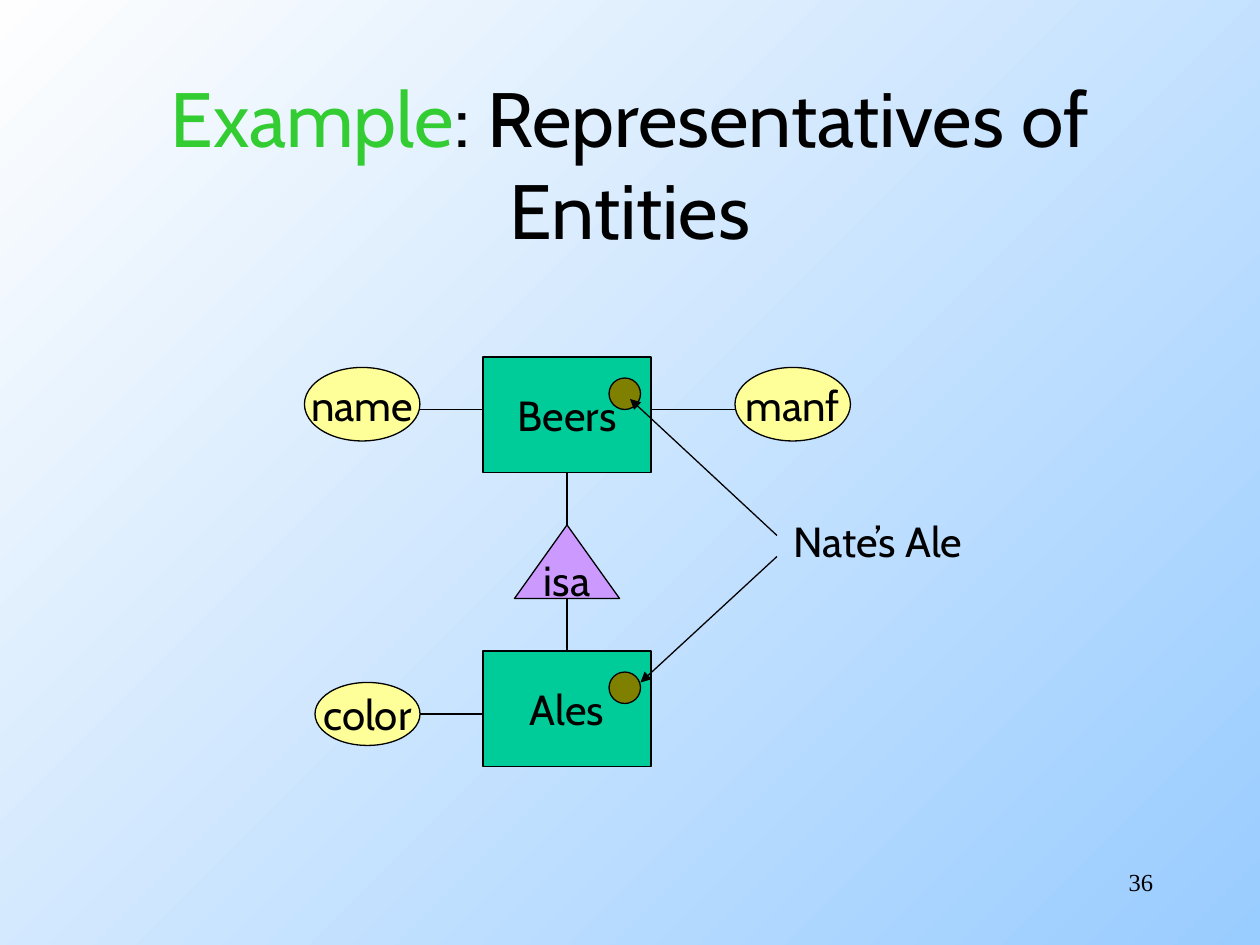
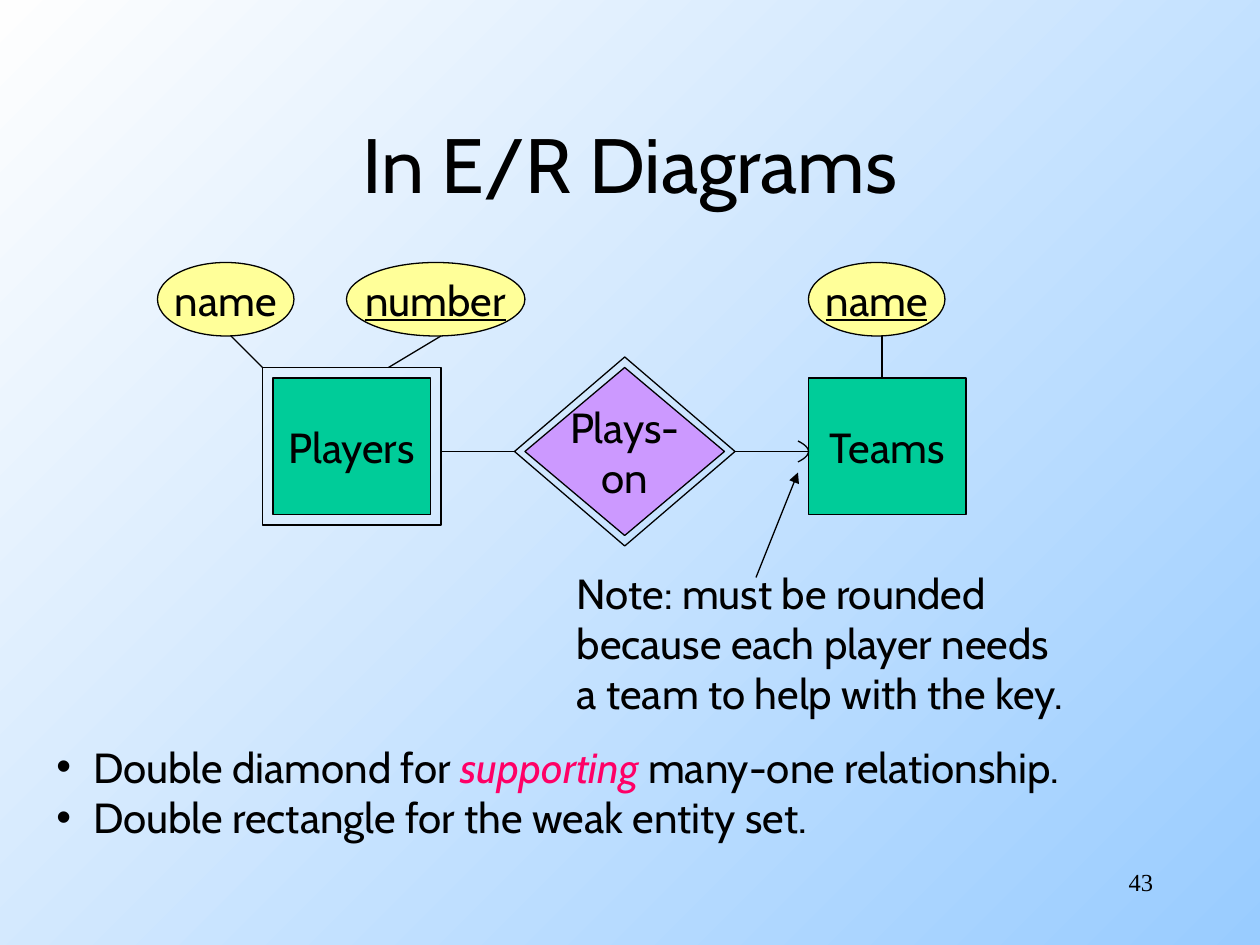
from lxml.etree import SubElement
from pptx import Presentation
from pptx.dml.color import RGBColor
from pptx.enum.shapes import MSO_CONNECTOR, MSO_SHAPE as Preset
from pptx.enum.text import MSO_ANCHOR as Anchor, PP_ALIGN as Align
from pptx.oxml.ns import qn
from pptx.util import Pt

BLACK = "000000"
SKY, WHITE = "99CCFF", "FEFEFE"
ENTITY, ATTRIBUTE, RELATION = "00CC99", "FFFF99", "CC99FF"
MEMBER = "808000"
EXAMPLE, EMPHASIS = "33CC33", "FF0066"
FONT, NUMBER_FONT = "Cabin", "Times New Roman"
BODY_SIZE = 24
LINE_WIDTH = 0.75
DOUBLE_GAP = 6


def rgb(code):
    return RGBColor.from_string(code)


def points(*lengths):
    return [Pt(length) for length in lengths]


def style(run, size=BODY_SIZE, font=FONT, color=BLACK):
    run.font.size = Pt(size)
    run.font.name = font
    run.font.color.rgb = rgb(color)


def add_text(slide, box, lines, size=BODY_SIZE, font=FONT, align=Align.LEFT,
             anchor=Anchor.TOP):
    """Write lines, each a list of (text, colour) runs, and return the paragraphs."""
    frame = slide.shapes.add_textbox(*points(*box)).text_frame
    frame.word_wrap = True
    frame.vertical_anchor = anchor
    for index, pieces in enumerate(lines):
        paragraph = frame.add_paragraph() if index else frame.paragraphs[0]
        paragraph.alignment = align
        for text, color in pieces:
            run = paragraph.add_run()
            run.text = text
            style(run, size, font, color)
    return frame.paragraphs


def add_bullet(paragraph, indent):
    properties = paragraph._p.get_or_add_pPr()
    properties.set("marL", str(Pt(indent)))
    properties.set("indent", str(-Pt(indent)))
    SubElement(properties, qn("a:buFont"), typeface="Arial")
    SubElement(properties, qn("a:buChar"), char="•")


def add_diagram_slide(deck, title, number):
    """Add a slide with the shared background, title and page number."""
    slide = deck.slides.add_slide(deck.slide_layouts[6])
    fill = slide.background.fill
    fill.gradient()
    fill.gradient_angle = 135
    for stop, color in zip(fill.gradient_stops, (SKY, WHITE)):
        stop.color.rgb = rgb(color)
    add_text(slide, (54, 48, 612, 90), [title], 44, align=Align.CENTER,
             anchor=Anchor.MIDDLE)
    add_text(slide, (516, 492, 150, 36), [[(str(number), BLACK)]], 14,
             NUMBER_FONT, Align.RIGHT)
    return slide


def outline(shape):
    shape.shadow.inherit = False
    shape.line.color.rgb = rgb(BLACK)
    shape.line.width = Pt(LINE_WIDTH)


def add_node(slide, preset, box, color=None, label="", underline=False):
    node = slide.shapes.add_shape(preset, *points(*box))
    outline(node)
    if color:
        node.fill.solid()
        node.fill.fore_color.rgb = rgb(color)
    else:
        node.fill.background()
    if label:
        frame = node.text_frame
        frame.word_wrap = False
        frame.vertical_anchor = Anchor.MIDDLE
        frame.text = label
        for paragraph in frame.paragraphs:
            paragraph.alignment = Align.CENTER
            style(paragraph.runs[0])
            paragraph.runs[0].font.underline = underline
    return node


def add_entity(slide, box, label):
    return add_node(slide, Preset.RECTANGLE, box, ENTITY, label)


def add_attribute(slide, box, label, key=False):
    return add_node(slide, Preset.OVAL, box, ATTRIBUTE, label, key)


def add_double_outline(slide, preset, box):
    left, top, width, height = box
    return add_node(slide, preset, (left - DOUBLE_GAP, top - DOUBLE_GAP,
                                    width + 2 * DOUBLE_GAP, height + 2 * DOUBLE_GAP))


def add_link(slide, start, end, arrow=False):
    link = slide.shapes.add_connector(MSO_CONNECTOR.STRAIGHT, *points(*start, *end))
    link.line.color.rgb = rgb(BLACK)
    link.line.width = Pt(LINE_WIDTH)
    if arrow:
        SubElement(link.line._get_or_add_ln(), qn("a:tailEnd"), type="triangle")
    SubElement(link._element.spPr, qn("a:effectLst"))
    return link


def add_rounded_head(slide, tip_x, tip_y, size=6, steps=8):
    """Draw the open, curved arrowhead that means exactly one."""
    offsets = [size * step / steps for step in range(-steps, steps + 1)]
    curve = [points(tip_x - offset ** 2 / size, tip_y + offset) for offset in offsets]
    builder = slide.shapes.build_freeform(*curve[0])
    builder.add_line_segments(curve[1:], close=False)
    head = builder.convert_to_shape()
    outline(head)
    head.fill.background()


def build_representatives(deck):
    slide = add_diagram_slide(
        deck, [("Example", EXAMPLE), (": Representatives of Entities", BLACK)], 36)
    beers = add_entity(slide, (276, 204, 96, 66), "Beers")
    ales = add_entity(slide, (276, 372, 96, 66), "Ales")
    isa = add_node(slide, Preset.ISOSCELES_TRIANGLE, (294, 300, 60, 42), RELATION, "isa")
    add_attribute(slide, (174, 210, 66, 42), "name")
    add_attribute(slide, (420, 210, 66, 42), "manf")
    add_attribute(slide, (180, 390, 60, 36), "color")

    add_link(slide, (240, 234), (276, 234))
    add_link(slide, (420, 234), (372, 234))
    add_link(slide, (240, 408), (276, 408))
    isa_to_beers = add_link(slide, (324, 300), (324, 270))
    isa_to_beers.begin_connect(isa, 0)
    isa_to_beers.end_connect(beers, 2)
    add_link(slide, (324, 342), (324, 372)).end_connect(ales, 0)

    for top in (216, 384):
        add_node(slide, Preset.OVAL, (348, top, 18, 18), MEMBER)
    add_link(slide, (444, 306), (360, 228), arrow=True)
    add_link(slide, (444, 318), (366, 390), arrow=True)
    add_text(slide, (446.4, 291, 122, 36), [[("Nate’s Ale", BLACK)]])


def build_weak_entities(deck):
    slide = add_diagram_slide(deck, [("In E/R Diagrams", BLACK)], 43)
    players_box = (156, 216, 90, 78)
    plays_on_box = (300, 210, 114, 96)
    add_entity(slide, players_box, "Players")
    add_entity(slide, (462, 216, 90, 78), "Teams")
    add_double_outline(slide, Preset.RECTANGLE, players_box)
    add_node(slide, Preset.DIAMOND, plays_on_box, RELATION, "Plays-\non")
    plays_on = add_double_outline(slide, Preset.DIAMOND, plays_on_box)
    add_attribute(slide, (90, 150, 78, 42), "name")
    add_attribute(slide, (462, 150, 78, 42), "name", key=True)
    add_attribute(slide, (198, 150, 102, 42), "number", key=True)

    add_link(slide, (252, 258), (294, 258)).end_connect(plays_on, 1)
    add_link(slide, (132, 192), (150, 210))
    add_link(slide, (252, 192), (222, 210))
    add_link(slide, (504, 192), (504, 216))
    add_link(slide, (420, 258), (462, 258)).begin_connect(plays_on, 3)
    add_rounded_head(slide, 462, 258)

    add_text(slide, (322.5, 320.5, 326, 94), [
        [("Note: must be rounded", BLACK)],
        [("because each player needs", BLACK)],
        [("a team to help with the key.", BLACK)]])
    add_link(slide, (432, 330), (456, 270), arrow=True)
    rules = add_text(slide, (25.2, 420, 654, 65), [
        [("Double diamond for ", BLACK), ("supporting", EMPHASIS),
         (" many-one relationship.", BLACK)],
        [("Double rectangle for the weak entity set.", BLACK)]])
    rules[0].runs[1].font.italic = True
    for rule in rules:
        add_bullet(rule, 21)


def main():
    deck = Presentation()
    deck.slide_width, deck.slide_height = points(720, 540)
    build_representatives(deck)
    build_weak_entities(deck)
    deck.save("out.pptx")


if __name__ == "__main__":
    main()
